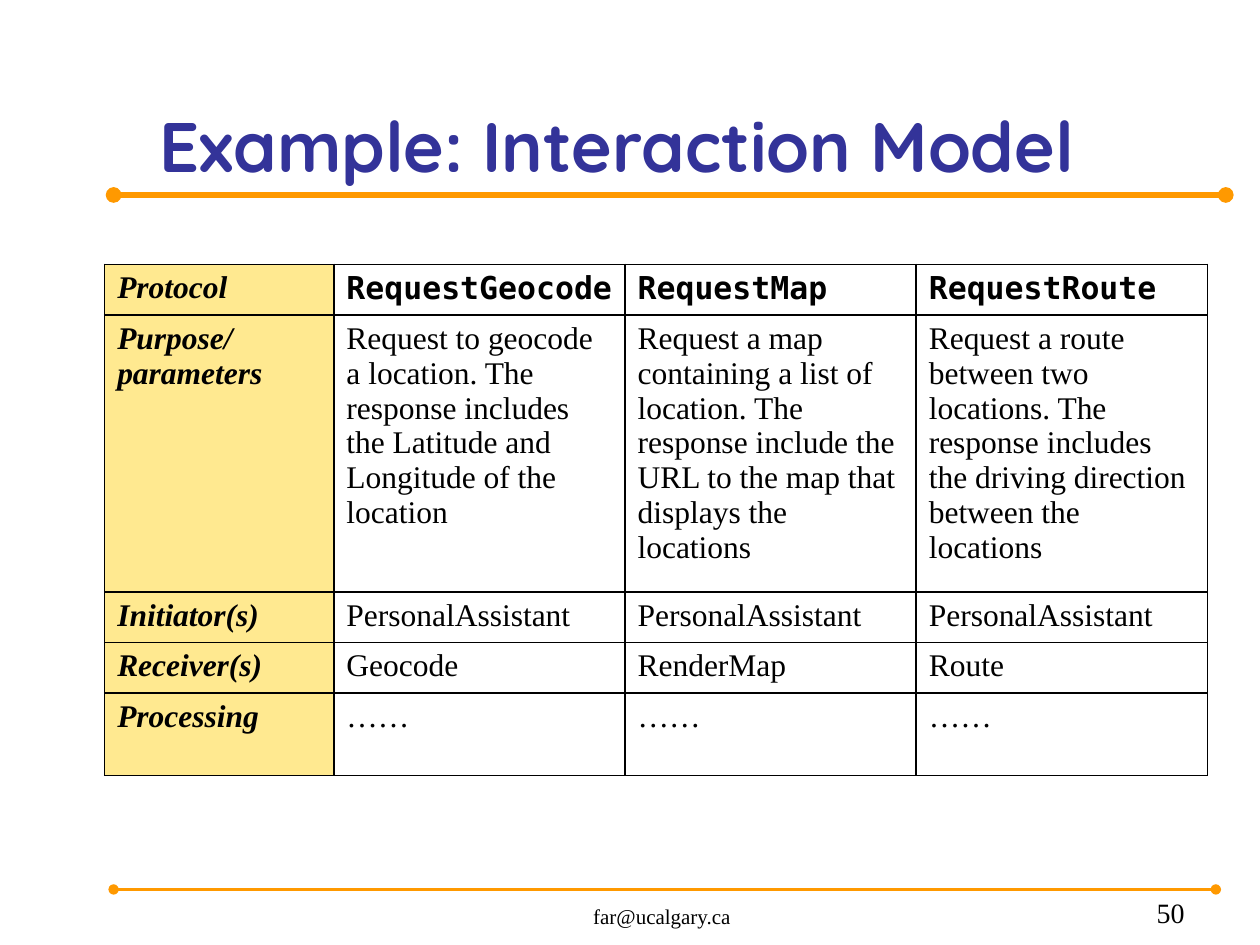
from lxml import etree
from pptx import Presentation
from pptx import util as u
from pptx.dml.color import RGBColor
from pptx.enum import shapes, text
from pptx.oxml.ns import qn

BLACK = RGBColor(0x00, 0x00, 0x00)
BLUE = RGBColor(0x33, 0x33, 0x99)
ORANGE = RGBColor(0xFF, 0x99, 0x00)
YELLOW = RGBColor(0xFF, 0xE9, 0x90)
SERIF = "Times New Roman"
MONO = "DejaVu Sans Mono"

BODY = {"name": SERIF, "size": u.Pt(18), "bold": False, "italic": False}
LABEL = {**BODY, "bold": True, "italic": True}
HEAD = {**BODY, "name": MONO, "bold": True}
TITLE = {"name": "Quicksand", "size": u.Pt(40), "bold": True}
FOOT = {"name": SERIF, "size": u.Pt(12)}
PAGE = {"name": SERIF, "size": u.Pt(16)}

WIDTHS = [4.62, 5.87, 5.87, 5.87]
HEIGHTS = [1, 5.38, 0.96, 0.96, 1.66]
ROWS = [
    ["Protocol", "RequestGeocode", "RequestMap", "RequestRoute"],
    [
        "Purpose/\nparameters",
        "Request to geocode\na location. The\nresponse includes\n"
        "the Latitude and\nLongitude of the\nlocation",
        "Request a map\ncontaining a list of\nlocation. The\n"
        "response include the\nURL to the map that\ndisplays the\nlocations",
        "Request a route\nbetween two\nlocations. The\nresponse includes\n"
        "the driving direction\nbetween the\nlocations",
    ],
    ["Initiator(s)"] + ["PersonalAssistant"] * 3,
    ["Receiver(s)", "Geocode", "RenderMap", "Route"],
    ["Processing"] + ["……"] * 3,
]


def style(font, form, color=BLACK):
    for key, value in form.items():
        setattr(font, key, value)
    font.color.rgb = color


def add_rule(slide, left, right, top, width):
    rule = slide.shapes.add_connector(
        shapes.MSO_CONNECTOR.STRAIGHT,
        u.Cm(left), u.Cm(top), u.Cm(right), u.Cm(top))
    rule.line.color.rgb = ORANGE
    rule.line.width = u.Pt(width)
    line = rule.line._get_or_add_ln()
    for end in ("a:headEnd", "a:tailEnd"):
        etree.SubElement(line, qn(end), type="oval")
    etree.SubElement(rule._element.spPr, qn("a:effectLst"))


def add_label(slide, box, words, form, align, color=BLACK):
    frame = slide.shapes.add_textbox(*map(u.Cm, box)).text_frame
    frame.word_wrap = True
    frame.vertical_anchor = text.MSO_ANCHOR.BOTTOM
    para = frame.paragraphs[0]
    para.text = words
    para.alignment = align
    style(para.font, form, color)


def add_edges(cell):
    props = cell._tc.get_or_add_tcPr()
    for side in ("a:lnL", "a:lnR", "a:lnT", "a:lnB"):
        edge = etree.SubElement(props, qn(side), w=str(u.Pt(1)))
        fill = etree.SubElement(edge, qn("a:solidFill"))
        etree.SubElement(fill, qn("a:srgbClr"), val=str(BLACK))


def fill_cell(cell, words, form, color):
    add_edges(cell)
    if color:
        cell.fill.solid()
        cell.fill.fore_color.rgb = color
    else:
        cell.fill.background()
    cell.text = words
    hang = u.Cm(0.95)
    for para in cell.text_frame.paragraphs:
        props = para._p.get_or_add_pPr()
        props.set("marL", str(hang))
        props.set("indent", str(-hang))
        style(para.font, form)


def add_grid(slide, left, top):
    grid = slide.shapes.add_table(
        len(ROWS), len(WIDTHS), u.Cm(left), u.Cm(top),
        u.Cm(sum(WIDTHS)), u.Cm(sum(HEIGHTS))).table
    grid.first_row = grid.horz_banding = False
    for col, width in zip(grid.columns, WIDTHS):
        col.width = u.Cm(width)
    for r, (row, height) in enumerate(zip(grid.rows, HEIGHTS)):
        row.height = u.Cm(height)
        for c, words in enumerate(ROWS[r]):
            form = LABEL if c == 0 else HEAD if r == 0 else BODY
            fill_cell(row.cells[c], words, form, None if c else YELLOW)


def main():
    deck = Presentation()
    deck.slide_width, deck.slide_height = u.Cm(25.4), u.Cm(19.05)
    slide = deck.slides.add_slide(deck.slide_layouts[6])
    align = text.PP_ALIGN
    add_rule(slide, 2.29, 24.71, 3.93, 3)
    add_rule(slide, 2.29, 24.51, 17.93, 1.5)
    add_label(slide, (9.32, 17.73, 8.05, 1.12), "far@ucalgary.ca",
              FOOT, align.CENTER)
    add_label(slide, (18.85, 17.73, 5.28, 1.12), "50", PAGE, align.RIGHT)
    add_label(slide, (2.97, 0.71, 21.87, 3.18), "Example: Interaction Model",
              TITLE, align.LEFT, BLUE)
    add_grid(slide, 2.11, 5.33)
    deck.save("out.pptx")


if __name__ == "__main__":
    main()
